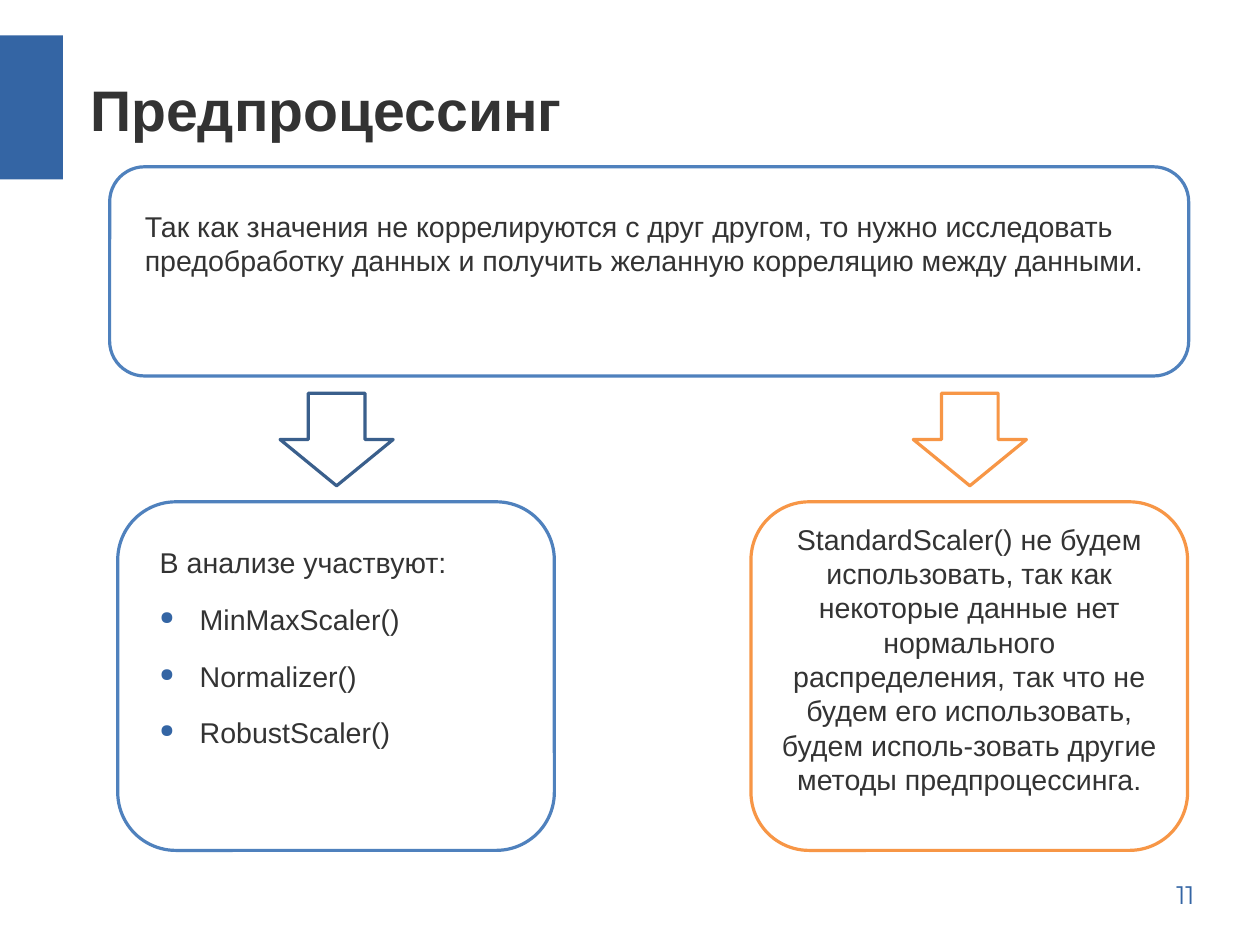
"""Build the preprocessing slide with its three rounded panels and two arrows."""
from dataclasses import dataclass

from lxml import etree
from pptx import Presentation
from pptx.dml.color import RGBColor
from pptx.enum.shapes import MSO_SHAPE
from pptx.enum.text import MSO_ANCHOR, PP_ALIGN
from pptx.oxml.ns import qn
from pptx.util import Inches, Pt

RECTANGLE = MSO_SHAPE.RECTANGLE
ROUNDED = MSO_SHAPE.ROUNDED_RECTANGLE
DOWN_ARROW = MSO_SHAPE.DOWN_ARROW
LEFT, CENTER, RIGHT = PP_ALIGN.LEFT, PP_ALIGN.CENTER, PP_ALIGN.RIGHT
TOP, MIDDLE = MSO_ANCHOR.TOP, MSO_ANCHOR.MIDDLE

ACCENT = RGBColor(0x34, 0x65, 0xA4)
BLUE = RGBColor(0x4F, 0x81, 0xBD)
DARK_BLUE = RGBColor(0x3A, 0x5F, 0x8C)
ORANGE = RGBColor(0xF7, 0x96, 0x46)
INK = RGBColor(0x33, 0x33, 0x33)
WHITE = RGBColor(0xFF, 0xFF, 0xFF)

CM_PER_INCH = 2.54
PAGE_WIDTH, PAGE_HEIGHT = Inches(28 / CM_PER_INCH), Inches(21 / CM_PER_INCH)


@dataclass(frozen=True)
class Line:
    text: str
    indent: float = 0
    hanging: float = 0
    space_after: float = 0
    align: PP_ALIGN = LEFT


@dataclass(frozen=True)
class Block:
    kind: MSO_SHAPE
    left: float
    top: float
    width: float
    height: float
    outline: RGBColor | None
    fill: RGBColor = WHITE
    lines: tuple[Line, ...] = ()
    bottom_inset: float = 0.05


def intro(text: str) -> Line:
    return Line(text, indent=0.12, space_after=14.1)


def item(text: str) -> Line:
    return Line(text, indent=0.47, hanging=0.35, space_after=14.1)


PANEL_TOP, PANEL_WIDTH, PANEL_HEIGHT = 4.39, 3.82, 3.05
ARROW_TOP, ARROW_WIDTH, ARROW_HEIGHT = 3.44, 0.99, 0.81

METHODS = (
    intro("В анализе участвуют:"),
    *map(item, ("MinMaxScaler()", "Normalizer()", "RobustScaler()")),
)
REJECTED = Line(
    "StandardScaler() не будем использовать, так как некоторые данные нет "
    "нормального распределения, так что не будем его использовать, "
    "будем исполь-зовать другие методы предпроцессинга.", align=CENTER)
REASON = intro(
    "Так как значения не коррелируются с друг другом, то нужно исследовать "
    "предобработку данных и получить желанную корреляцию между данными.")

BLOCKS = (
    Block(RECTANGLE, 0, 0.31, 0.55, 1.26, None, ACCENT),
    Block(ROUNDED, 6.57, PANEL_TOP, PANEL_WIDTH, PANEL_HEIGHT, ORANGE,
          lines=(REJECTED,), bottom_inset=0.35),
    Block(ROUNDED, 1.03, PANEL_TOP, PANEL_WIDTH, PANEL_HEIGHT, BLUE,
          lines=METHODS, bottom_inset=0.55),
    Block(ROUNDED, 0.96, 1.46, 9.44, 1.83, BLUE, lines=(REASON,), bottom_inset=0.55),
    Block(DOWN_ARROW, 2.45, ARROW_TOP, ARROW_WIDTH, ARROW_HEIGHT, DARK_BLUE),
    Block(DOWN_ARROW, 7.99, ARROW_TOP, ARROW_WIDTH, ARROW_HEIGHT, ORANGE),
)


def write(para, text: str, *, size: float = 18, font: str = "Arial",
          color: RGBColor = INK, bold: bool = False, align: PP_ALIGN = LEFT) -> None:
    para.alignment = align
    span = para.add_run()
    span.text = text
    span.font.size = Pt(size)
    span.font.name = font
    span.font.color.rgb = color
    span.font.bold = bold


def set_indent(para, line: Line) -> None:
    properties = para._p.get_or_add_pPr()
    properties.set("marL", str(Inches(line.indent)))
    properties.set("indent", str(-Inches(line.hanging)))
    if line.hanging:
        color = etree.SubElement(properties, qn("a:buClr"))
        etree.SubElement(color, qn("a:srgbClr"), val=str(ACCENT))
        etree.SubElement(properties, qn("a:buSzPct"), val="65000")
        etree.SubElement(properties, qn("a:buChar"), char="●")


def draw_block(page, block: Block) -> None:
    shape = page.shapes.add_shape(
        block.kind, Inches(block.left), Inches(block.top),
        Inches(block.width), Inches(block.height))
    shape.shadow.inherit = False
    shape.fill.solid()
    shape.fill.fore_color.rgb = block.fill
    if block.outline is None:
        shape.line.fill.background()
    else:
        shape.line.color.rgb = block.outline
        shape.line.width = Pt(2)
    frame = shape.text_frame
    frame.word_wrap = True
    frame.vertical_anchor = MIDDLE
    frame.margin_bottom = Inches(block.bottom_inset)
    for index, line in enumerate(block.lines):
        para = frame.add_paragraph() if index else frame.paragraphs[0]
        set_indent(para, line)
        para.space_after = Pt(line.space_after)
        write(para, line.text, align=line.align)


def draw_label(page, text: str, left: float, top: float, width: float, height: float,
               *, inset: tuple[float, float], anchor: MSO_ANCHOR, **text_format) -> None:
    box = page.shapes.add_textbox(Inches(left), Inches(top), Inches(width), Inches(height))
    frame = box.text_frame
    frame.word_wrap = True
    frame.vertical_anchor = anchor
    frame.margin_left = frame.margin_right = Inches(inset[0])
    frame.margin_top = frame.margin_bottom = Inches(inset[1])
    write(frame.paragraphs[0], text, **text_format)


def main() -> None:
    deck = Presentation()
    deck.slide_width, deck.slide_height = PAGE_WIDTH, PAGE_HEIGHT
    page = deck.slides.add_slide(deck.slide_layouts[6])
    for block in BLOCKS:
        draw_block(page, block)
    draw_label(page, "Предпроцессинг", 0.79, 0.33, 9.68, 1.24,
               inset=(0, 0), anchor=MIDDLE, size=36, bold=True)
    draw_label(page, "11", 7.51, 7.64, 3.04, 0.41, inset=(0.1, 0.05), anchor=TOP,
               size=16, font="Montserrat", color=ACCENT, align=RIGHT)
    deck.save("out.pptx")


if __name__ == "__main__":
    main()
